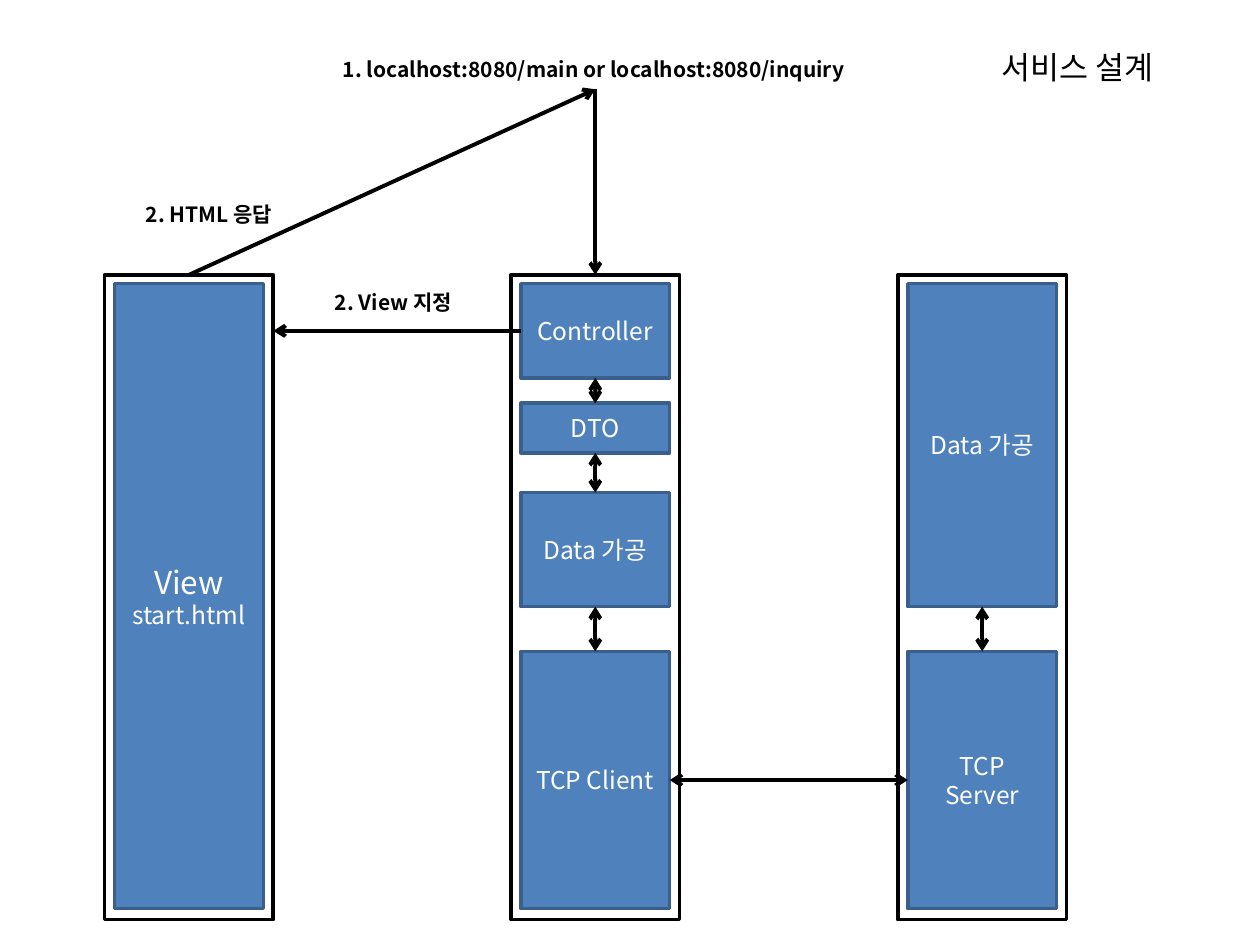
import dataclasses

import pptx
import pptx.dml.color
import pptx.enum.shapes
import pptx.enum.text
import pptx.oxml
import pptx.oxml.ns
import pptx.util

Cm, Pt = pptx.util.Cm, pptx.util.Pt
Align, Anchor = pptx.enum.text.PP_ALIGN, pptx.enum.text.MSO_ANCHOR
qn = pptx.oxml.ns.qn


def color(code):
    return pptx.dml.color.RGBColor.from_string(code)


@dataclasses.dataclass(frozen=True)
class Theme:
    font: str = "Noto Sans CJK KR"
    ink: str = "000000"
    paper: str = "FFFFFF"
    box_fill: str = "4F81BD"
    box_edge: str = "3A5F8C"
    title_size: float = 18
    box_size: float = 14
    label_size: float = 12
    edge_width: float = 2
    arrow_width: float = 2.25


class Diagram:
    def __init__(self, page, theme):
        self.page = page
        self.theme = theme

    def set_text(self, frame, lines, ink, align=Align.CENTER, bold=False):
        """Fill a text frame with one paragraph per (text, size) pair."""
        frame.word_wrap = True
        for index, (text, size) in enumerate(lines):
            para = frame.add_paragraph() if index else frame.paragraphs[0]
            para.text = text
            para.alignment = align
            font = para.font
            font.size, font.bold = Pt(size), bold
            font.color.rgb = color(ink)
            font.name = self.theme.font
            properties = para._p.pPr.find(qn("a:defRPr"))
            east_asian = properties.makeelement(qn("a:ea"), {"typeface": self.theme.font})
            properties.append(east_asian)

    def rectangle(self, left, top, width, height, fill, edge):
        shape = self.page.shapes.add_shape(
            pptx.enum.shapes.MSO_SHAPE.RECTANGLE, Cm(left), Cm(top), Cm(width), Cm(height))
        shape.shadow.inherit = False
        shape.fill.solid()
        shape.fill.fore_color.rgb = color(fill)
        shape.line.color.rgb = color(edge)
        shape.line.width = Pt(self.theme.edge_width)
        return shape

    def frame(self, center, top, width, height):
        self.rectangle(center - width / 2, top, width, height, self.theme.paper, self.theme.ink)

    def box(self, center, top, width, height, lines):
        shape = self.rectangle(center - width / 2, top, width, height,
                               self.theme.box_fill, self.theme.box_edge)
        shape.text_frame.vertical_anchor = Anchor.MIDDLE
        self.set_text(shape.text_frame, lines, self.theme.paper)

    def label(self, left, top, width, height, text, size, align=Align.LEFT,
              bold=True, anchor=Anchor.TOP):
        area = self.page.shapes.add_textbox(Cm(left), Cm(top), Cm(width), Cm(height))
        area.text_frame.vertical_anchor = anchor
        self.set_text(area.text_frame, [(text, size)], self.theme.ink, align, bold)

    def arrow(self, start, end, both=False):
        line = self.page.shapes.add_connector(
            pptx.enum.shapes.MSO_CONNECTOR.STRAIGHT, *map(Cm, start + end))
        line.line.color.rgb = color(self.theme.ink)
        line.line.width = Pt(self.theme.arrow_width)
        properties = line._element.spPr
        stroke = properties.find(qn("a:ln"))
        for tag in ("a:headEnd", "a:tailEnd") if both else ("a:tailEnd",):
            stroke.append(stroke.makeelement(qn(tag), {"type": "arrow"}))
        properties.append(properties.makeelement(qn("a:effectLst"), {}))


VIEW, CLIENT, SERVER = 3.81, 12, 19.8  # column centres
FRAME_TOP, FRAME_WIDTH, FRAME_HEIGHT = 5.54, 3.4, 13
BOX_TOP, BOX_WIDTH, BOX_BOTTOM = 5.72, 3, 18.32
TCP_TOP = 13.13
DATA_BOTTOM = 12.23
URL_POINT = (CLIENT, 1.8)


def main():
    theme = Theme()
    deck = pptx.Presentation()
    deck.slide_width, deck.slide_height = Cm(25.4), Cm(19.05)
    diagram = Diagram(deck.slides.add_slide(deck.slide_layouts[6]), theme)

    diagram.label(19.3, 0.76, 4.83, 1.17, "서비스 설계", theme.title_size,
                  Align.CENTER, bold=False, anchor=Anchor.MIDDLE)
    diagram.label(6.02, 1.02, 11.91, 0.76, "1. localhost:8080/main or localhost:8080/inquiry",
                  theme.label_size, Align.CENTER)
    diagram.label(6.5, 5.72, 3.3, 0.76, "2. View 지정", theme.label_size)
    diagram.label(2.69, 3.94, 3.33, 0.76, "2. HTML 응답", theme.label_size)

    # Each column lists its boxes from top to bottom: (top, bottom, lines).
    columns = {
        VIEW: [(BOX_TOP, BOX_BOTTOM,
                [("View", theme.title_size), ("start.html", theme.box_size)])],
        CLIENT: [(BOX_TOP, 7.62, [("Controller", theme.box_size)]),
                 (8.13, 9.13, [("DTO", theme.box_size)]),
                 (9.93, DATA_BOTTOM, [("Data 가공", theme.box_size)]),
                 (TCP_TOP, BOX_BOTTOM, [("TCP Client", theme.box_size)])],
        SERVER: [(BOX_TOP, DATA_BOTTOM, [("Data 가공", theme.box_size)]),
                 (TCP_TOP, BOX_BOTTOM, [("TCP Server", theme.box_size)])],
    }
    for center, boxes in columns.items():
        diagram.frame(center, FRAME_TOP, FRAME_WIDTH, FRAME_HEIGHT)
        for top, bottom, lines in boxes:
            diagram.box(center, top, BOX_WIDTH, bottom - top, lines)
        for upper, lower in zip(boxes, boxes[1:]):
            diagram.arrow((center, lower[0]), (center, upper[1]), both=True)

    diagram.arrow(URL_POINT, (CLIENT, FRAME_TOP))
    diagram.arrow((VIEW, FRAME_TOP), URL_POINT)
    controller_middle = 6.67
    diagram.arrow((CLIENT - BOX_WIDTH / 2, controller_middle),
                  (VIEW + FRAME_WIDTH / 2, controller_middle))
    tcp_middle = (TCP_TOP + BOX_BOTTOM) / 2
    diagram.arrow((CLIENT + BOX_WIDTH / 2, tcp_middle),
                  (SERVER - BOX_WIDTH / 2, tcp_middle), both=True)

    deck.save("out.pptx")


if __name__ == "__main__":
    main()
